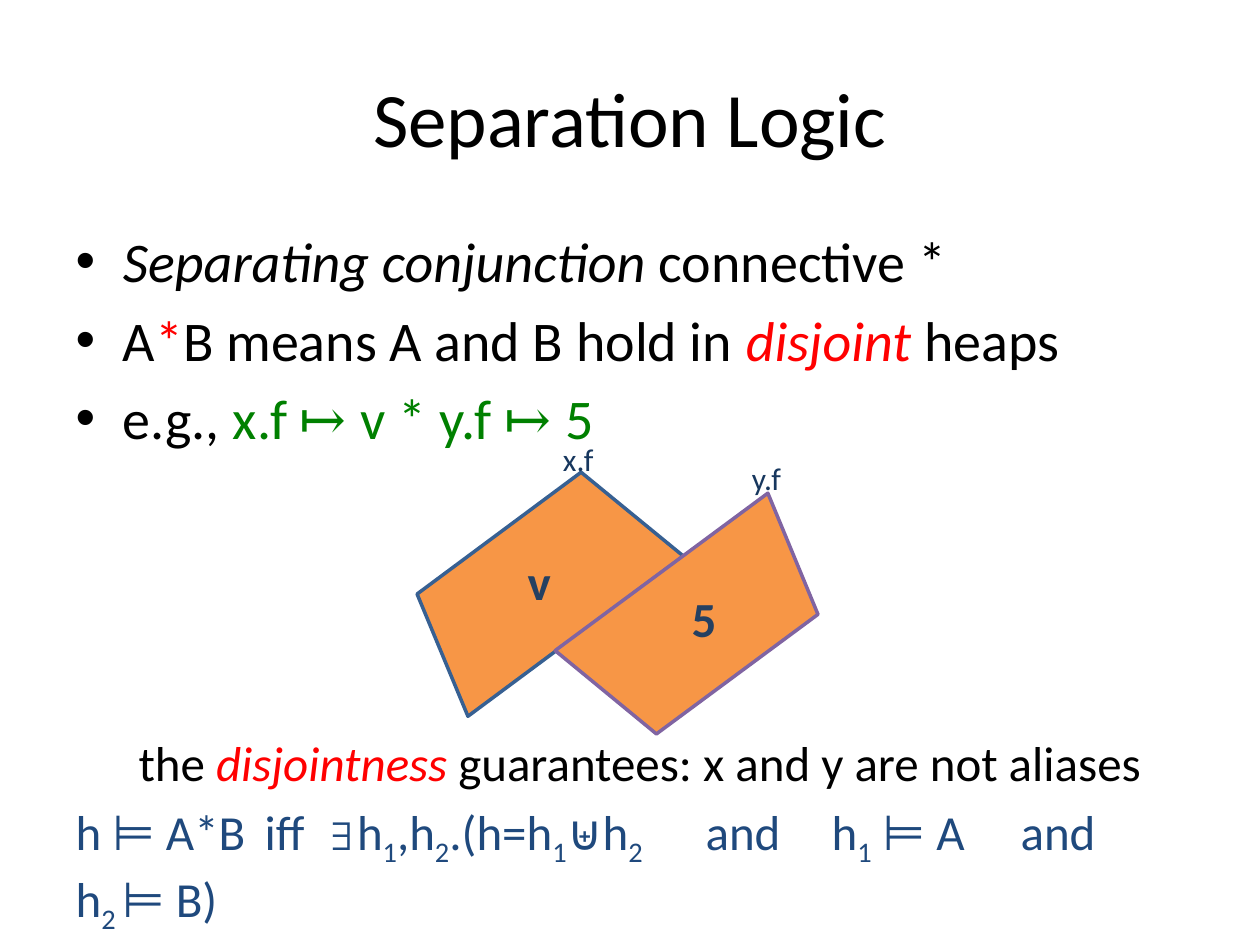
from dataclasses import dataclass, field
from typing import NamedTuple

from lxml import etree
from pptx import Presentation
from pptx.dml.color import RGBColor
from pptx.enum.shapes import MSO_SHAPE
from pptx.enum.text import MSO_ANCHOR, MSO_AUTO_SIZE, PP_ALIGN
from pptx.oxml.ns import qn
from pptx.util import Pt

TRAPEZOID = MSO_SHAPE.TRAPEZOID
MIDDLE = MSO_ANCHOR.MIDDLE
NO_FIT = MSO_AUTO_SIZE.NONE
CENTER = PP_ALIGN.CENTER


@dataclass(frozen=True)
class Theme:
    font: str = "Calibri"
    maps_to: str = "Times New Roman"
    quantifier: str = "Courier New"
    ink: str = "000000"
    accent: str = "FF0000"
    example: str = "008000"
    formula: str = "1F497D"
    heap: str = "F79646"
    left_edge: str = "376092"
    right_edge: str = "8064A2"
    address: str = "17375E"
    value: str = "254061"
    title_size: int = 44
    body_size: int = 32
    note_size: int = 28
    label_size: int = 18


T = Theme()


class Run(NamedTuple):
    text: str
    color: str = T.ink
    italic: bool = False
    font: str = T.font
    sub: bool = False


@dataclass
class Para:
    runs: list[Run]
    size: int = T.body_size
    level: int = 0
    before: float | None = None
    bullet: bool = True
    tabs: list[float] = field(default_factory=list)


class Heap(NamedTuple):
    box: tuple[float, float, float, float]
    angle: float
    edge: str


class Label(NamedTuple):
    text: str
    box: tuple[float, float, float, float]
    size: int
    color: str
    bold: bool


def add_run(p, text: str, color: str, **fmt) -> None:
    r = p.add_run()
    r.text = text
    for name, val in fmt.items():
        setattr(r.font, name, val)
    r.font.color.rgb = RGBColor.from_string(color)


def place(sp, box: tuple[float, float, float, float]) -> None:
    for name, val in zip(("left", "top", "width", "height"), box):
        setattr(sp, name, Pt(val))


def add_para(p, para: Para) -> None:
    p.level = para.level
    if para.before is not None:
        p.space_before = Pt(para.before)
    pPr = p._p.get_or_add_pPr()
    if not para.bullet:
        etree.SubElement(pPr, qn("a:buNone"))
        pPr.set("marL", str(Pt(36 if para.level else 0)))
        pPr.set("indent", "0")
    if para.tabs:
        tab_list = etree.SubElement(pPr, qn("a:tabLst"))
        for pos in para.tabs:
            etree.SubElement(tab_list, qn("a:tab"), pos=str(Pt(pos)), algn="l")
    for run in para.runs:
        add_run(p, run.text, run.color, name=run.font, size=Pt(para.size),
                italic=run.italic)
        if run.sub:
            p.runs[-1].font._element.set("baseline", "-25000")


def add_heap(shapes, heap: Heap) -> None:
    sp = shapes.add_shape(TRAPEZOID, *map(Pt, heap.box))
    sp.rotation = heap.angle
    sp.shadow.inherit = False
    sp.fill.solid()
    sp.fill.fore_color.rgb = RGBColor.from_string(T.heap)
    sp.line.color.rgb = RGBColor.from_string(heap.edge)
    sp.line.width = Pt(2)


def add_label(shapes, label: Label) -> None:
    tf = shapes.add_textbox(*map(Pt, label.box)).text_frame
    tf.word_wrap = True
    add_run(tf.paragraphs[0], label.text, label.color, name=T.font,
            size=Pt(label.size), bold=label.bold)


def formula_runs(*parts: str) -> list[Run]:
    """Parts alternate between normal text and subscripts."""
    return [Run(s, T.formula, sub=i % 2 == 1) for i, s in enumerate(parts)]


BODY = [
    Para([Run("Separating conjunction ", italic=True), Run("connective *")]),
    Para([Run("A"), Run("*", T.accent), Run("B means A and B hold in "),
          Run("disjoint", T.accent, True), Run(" heaps")]),
    Para([Run("e.g., "), Run("x.f ", T.example),
          Run("↦ ", T.example, font=T.maps_to), Run("v * y.f ", T.example),
          Run("↦ ", T.example, font=T.maps_to), Run("5 ", T.example)]),
    Para([Run("the "), Run("disjointness ", T.accent, True),
          Run("guarantees: x and y are not aliases")],
         T.note_size, level=1, before=161, bullet=False),
    Para([Run("h ⊨ A*B\tiff\t", T.formula),
          Run("∃", T.formula, font=T.quantifier),
          *formula_runs("h", "1", ",h", "2", ".(h=h", "1", "⊎h", "2",
                        "\tand\th", "1", " ⊨ A\tand\th", "2 ", "⊨ B)")],
         T.note_size, bullet=False,
         tabs=[116.5, 160.5, 351, 406.5, 495, 550]),
]

HEAPS = [
    Heap((230.4, 297.4, 153.4, 73.4), 323.4, T.left_edge),
    Heap((324, 319.7, 151.2, 72.7), 143.5, T.right_edge),
]

LABELS = [
    Label("y.f", (422.6, 258.5, 39.6, 28.8), T.label_size, T.address, False),
    Label("v", (294.5, 311.8, 33.8, 41), T.note_size, T.value, True),
    Label("x.f", (314.6, 247.7, 33.8, 28.8), T.label_size, T.address, False),
    Label("5", (388.1, 332.6, 33.8, 41), T.note_size, T.value, True),
]

prs = Presentation()
prs.slide_width, prs.slide_height = Pt(720), Pt(540)
slide = prs.slides.add_slide(prs.slide_layouts[1])
title, body = slide.placeholders

# Title
place(title, (36, 21.6, 648, 90))
title.text_frame.vertical_anchor = MIDDLE
p = title.text_frame.paragraphs[0]
p.alignment = CENTER
add_run(p, "Separation Logic", T.ink, name=T.font, size=Pt(T.title_size))

# Bullets, note and formula
place(body, (36, 126, 648, 404.6))
tf = body.text_frame
tf.auto_size = NO_FIT
for i, para in enumerate(BODY):
    add_para(tf.add_paragraph() if i else tf.paragraphs[0], para)

# Disjoint heaps with their addresses and values
for heap in HEAPS:
    add_heap(slide.shapes, heap)
for label in LABELS:
    add_label(slide.shapes, label)

prs.save("out.pptx")
